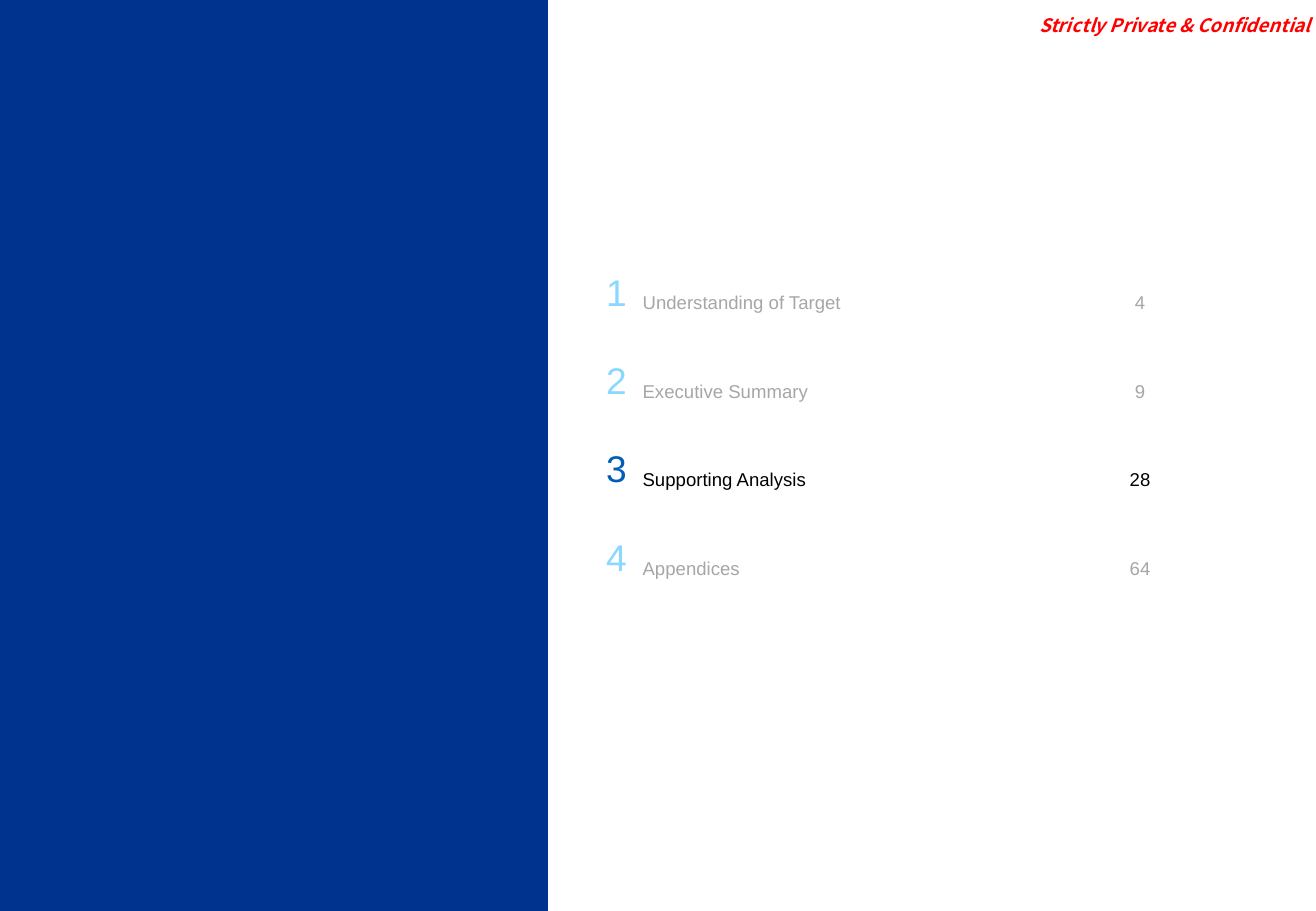
from dataclasses import dataclass

from pptx import Presentation
from pptx.dml.color import RGBColor
from pptx.enum.shapes import MSO_SHAPE
from pptx.enum.text import MSO_ANCHOR, PP_ALIGN
from pptx.util import Pt

RECTANGLE = MSO_SHAPE.RECTANGLE
TOP, MIDDLE = MSO_ANCHOR.TOP, MSO_ANCHOR.MIDDLE
LEFT, CENTER, RIGHT = PP_ALIGN.LEFT, PP_ALIGN.CENTER, PP_ALIGN.RIGHT

NAVY = RGBColor(0x00, 0x33, 0x8D)
BLUE = RGBColor(0x00, 0x5E, 0xB8)
LIGHT_BLUE = RGBColor(0x8A, 0xD8, 0xFF)
GREY = RGBColor(0xA6, 0xA6, 0xA6)
BLACK = RGBColor(0x00, 0x00, 0x00)
RED = RGBColor(0xFF, 0x00, 0x00)

PAGE_WIDTH, PAGE_HEIGHT = 780, 540
PANEL_WIDTH = 324.8
BANNER_WIDTH, BANNER_HEIGHT = 195, 39.6
AGENDA_LEFT, AGENDA_TOP = 340.6, 147.6
ROW_HEIGHT = 52.4


@dataclass(frozen=True)
class Section:
    title: str
    page_number: int
    current: bool = False


@dataclass(frozen=True)
class Column:
    width: float
    size: float
    align: PP_ALIGN
    margins: tuple[float, float, float, float]  # left, top, right, bottom


SECTIONS = [
    Section("Understanding of Target", 4),
    Section("Executive Summary", 9),
    Section("Supporting Analysis", 28, current=True),
    Section("Appendices", 64),
]
COLUMNS = [
    Column(37.4, 22, RIGHT, (6.5, 3.6, 6.5, 3.6)),
    Column(280.1, 11, LEFT, (2.9, 15.8, 0, 3.6)),
    Column(35.3, 11, CENTER, (6.5, 15.8, 6.5, 3.6)),
]


def set_margins(box, margins: tuple[float, float, float, float]) -> None:
    for side, length in zip(("left", "top", "right", "bottom"), margins):
        setattr(box, f"margin_{side}", Pt(length))


def write(frame, text: str, align: PP_ALIGN, color: RGBColor, **font_format) -> None:
    para = frame.paragraphs[0]
    para.alignment = align
    span = para.add_run()
    span.text = text
    span.font.color.rgb = color
    for name, value in font_format.items():
        setattr(span.font, name, value)


def add_panel(page) -> None:
    panel = page.shapes.add_shape(RECTANGLE, 0, 0, Pt(PANEL_WIDTH), Pt(PAGE_HEIGHT))
    panel.shadow.inherit = False
    panel.fill.solid()
    panel.fill.fore_color.rgb = NAVY
    panel.line.fill.background()


def add_banner(page) -> None:
    box = page.shapes.add_textbox(
        Pt(PAGE_WIDTH - BANNER_WIDTH), 0, Pt(BANNER_WIDTH), Pt(BANNER_HEIGHT))
    frame = box.text_frame
    frame.word_wrap = True
    frame.vertical_anchor = TOP
    set_margins(frame, (0, 8, 2.9, 2.9))
    write(frame, "Strictly Private & Confidential", RIGHT, RED,
          name="Noto Sans CJK KR", size=Pt(11), bold=True, italic=True)


def add_agenda(page) -> None:
    table = page.shapes.add_table(
        len(SECTIONS), len(COLUMNS), Pt(AGENDA_LEFT), Pt(AGENDA_TOP),
        Pt(sum(column.width for column in COLUMNS)),
        Pt(ROW_HEIGHT * len(SECTIONS))).table
    table.first_row = table.horz_banding = False
    for index, column in enumerate(COLUMNS):
        table.columns[index].width = Pt(column.width)
    for row, section in enumerate(SECTIONS):
        table.rows[row].height = Pt(ROW_HEIGHT)
        number_color = BLUE if section.current else LIGHT_BLUE
        text_color = BLACK if section.current else GREY
        texts = (str(row + 1), section.title, str(section.page_number))
        colors = (number_color, text_color, text_color)
        for index, (column, text, color) in enumerate(zip(COLUMNS, texts, colors)):
            cell = table.cell(row, index)
            cell.fill.background()
            cell.vertical_anchor = MIDDLE
            set_margins(cell, column.margins)
            write(cell.text_frame, text, column.align, color,
                  name="Arial", size=Pt(column.size))


def main() -> None:
    deck = Presentation()
    deck.slide_width, deck.slide_height = Pt(PAGE_WIDTH), Pt(PAGE_HEIGHT)
    page = deck.slides.add_slide(deck.slide_layouts.get_by_name("Blank"))
    add_panel(page)
    add_banner(page)
    add_agenda(page)
    deck.save("out.pptx")


if __name__ == "__main__":
    main()
